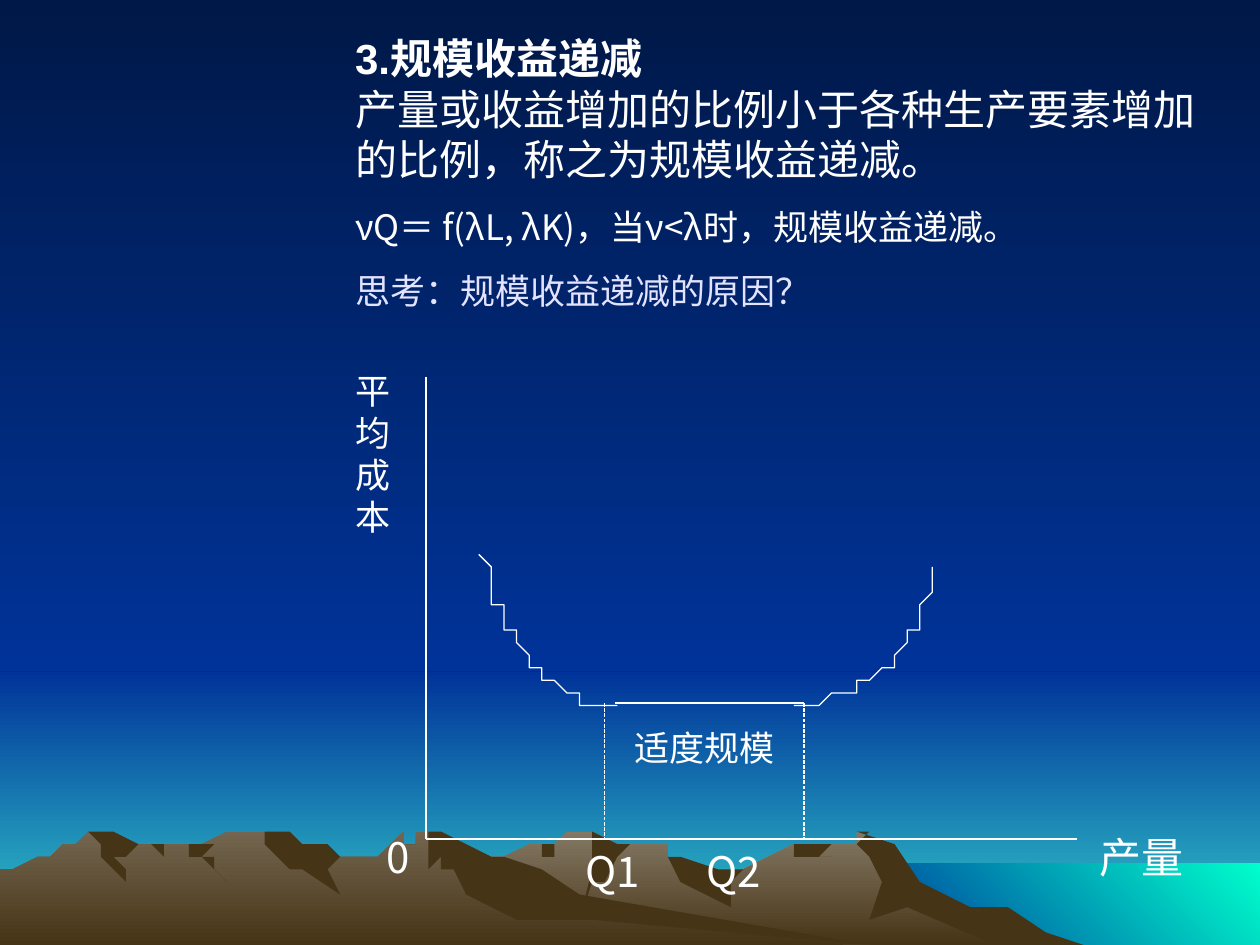
from lxml.etree import SubElement
from pptx import Presentation
from pptx.dml.color import RGBColor
from pptx.enum.dml import MSO_LINE_DASH_STYLE as DASH
from pptx.enum.shapes import MSO_CONNECTOR, MSO_SHAPE
from pptx.enum.text import PP_ALIGN
from pptx.oxml.ns import qn
from pptx.util import Inches, Pt

# The slide is a grid of 100 columns by 75 rows
COLS, ROWS = 100, 75
CELL = Inches(0.1)
CJK, LATIN = "Noto Sans CJK SC", "Arial"
WHITE, LILAC = "FFFFFF", "E3E3FF"
NIGHT, BLUE, TEAL, GREEN = "001847", "003399", "33CCCC", "00FFCC"
SHADE, RIGHT_ROCK, LEFT_ROCK = "463416", "847864", "73654F"

HORIZON, AXIS_X, AXIS_Y, FLOOR = 53.3, 33.8, 66.6, 55.8
Q1, Q2 = 48, 63.8

RIGHT_RIDGE = """80.2,74 77.8,72.7 76.4,72.3 72.3,69.8 70.2,67.1 68.5,66 67.6,66.7
65.6,67.1 62.9,67.1 61.3,68.1 56.6,69.7 53.6,69 52.9,67.6 52.6,67.3 50.9,66.9
48.6,67.3 47.4,66.1 47.1,65.8 46.5,65.8 45,66.4 43.8,67.1 42.4,67.2 40.5,68.1
39.4,68.5 35.5,69.8 32.7,70.9 27.7,73.9 25.8,75 82.1,75"""
LEFT_RIDGE = """69,75 66.7,74.8 43.2,71.2 35.4,66.5 33.1,66.3 32.7,66.8 32.3,66.8 31.8,66.4
29.6,67.6 27.9,68.1 27.1,68.2 26,67.6 23.6,68.1 22.3,66.3 21.9,66 21.2,65.8 19.6,65.8
19.1,66.2 18,66.5 16,67.1 14.8,66.7 14.3,66.7 13.2,67.1 12.3,66.9 11.1,66.9 9.4,67.1
6.8,66.2 5.6,66.9 4.6,67.4 3.5,67.9 2.6,68.5 1.4,68.8 0,69 0,75"""
RIGHT_SHADES = [
    """79.6,72.4 77.1,72.4 73.4,70.3 70.7,67.1 68.5,66 68.9,66.4 68.5,67.1 69.1,68
    69.8,70.2 69.3,73.3 72,71.7 78.8,75 85.8,75 82.9,74.2""",
    """47.1,65.8 47.4,66.2 46.9,66.4 46.8,67.1 47.2,68 47.3,69 46.5,72.7 47.4,70.4
    47.9,70 48.7,68.3 49,68.2 49,67.6 49.7,67.1 49.3,67""",
    "52.9,67.6 52.6,68.3 53.6,69.7 58,72.3 57.6,70 59.2,68.9 57,69.2 54.2,68.5",
    "65,67.1 63,67.1 63.1,67.5 63,67.6 64.3,68.3 64.7,67.9 65.7,68.4 65.2,67.6 65.6,67.1",
    "43.3,67.7 43.2,67.3 43.4,67.1 43.9,67 43.7,67.3 43.9,67.9 43.4,68.4",
]
LEFT_SHADES = [
    """21.2,66.3 20.8,66.9 21.9,67.8 23.2,69 24.1,68.8 26.7,70.9 26.1,68.9 27.1,68.2
    26,67.4 24.5,66.8 23.2,66.3 22,66.1 21.3,65.9""",
    """37,66.8 35.4,66.5 34.4,66.5 33.9,66.9 33.7,68.7 34.8,68.3 35.3,68.8 36.3,69.1
    37.4,71.2 40.7,72.7 47.2,72.7 69,75 45.5,70.7 42.7,69.2 40.1,68.1 38.6,67.5""",
    "31.8,66.7 32,66.6 31.8,66.4 32.3,66.7 32.7,66.7 33,67.4 32.2,66.9 31.9,67.2",
    """15.4,66.7 16.8,66.9 16.5,67.6 16.6,68 16.9,68.4 17.3,68.7 17.6,69.5 16.5,68.5
    15.4,67.6 14.8,66.7""",
    "13.3,67 13,67.4 13.2,68 12.9,67.8 12.3,66.9",
    """10.9,66.8 11.1,66.9 10.5,67.6 9.3,68.5 9.8,68.9 10,69.8 8.2,68.5 7.7,67.6
    8.4,67.3 7.9,66.8 6.9,66.4 6.9,66.2 8.4,66.3 9.4,66.5""",
]


def rgb(value):
    return RGBColor.from_string(value)


def cells(*values):
    return [round(v * CELL) for v in values]


def paint(fill, colors, angle=270):
    """Solid fill for one colour, linear gradient for a pair."""
    if isinstance(colors, str):
        fill.solid()
        fill.fore_color.rgb = rgb(colors)
        return
    fill.gradient()
    fill.gradient_angle = angle
    for stop, color, position in zip(fill.gradient_stops, colors, (0, 1)):
        stop.color.rgb = rgb(color)
        stop.position = position


def band(s, x, y, w, h, colors, angle=270):
    sp = s.shapes.add_shape(MSO_SHAPE.RECTANGLE, *cells(x, y, w, h))
    sp.shadow.inherit = False
    sp.line.fill.background()
    paint(sp.fill, colors, angle)


def outline(s, points, close):
    fb = s.shapes.build_freeform(*points[0], scale=float(CELL))
    fb.add_line_segments(points[1:], close=close)
    sp = fb.convert_to_shape()
    sp.shadow.inherit = False
    return sp


def rock(s, text, colors):
    points = [tuple(map(float, pair.split(","))) for pair in text.split()]
    sp = outline(s, points, True)
    sp.line.fill.background()
    paint(sp.fill, colors)


def white_line(line):
    line.color.rgb = rgb(WHITE)
    line.width = Pt(0.75)


def curve(s, a, b, c, d, steps=40):
    """Cubic Bezier from a to d with handles b and c."""
    points = []
    for i in range(steps + 1):
        t = i / steps
        weights = ((1 - t) ** 3, 3 * t * (1 - t) ** 2, 3 * t * t * (1 - t), t ** 3)
        points.append(tuple(sum(w * p[k] for w, p in zip(weights, (a, b, c, d)))
                            for k in (0, 1)))
    sp = outline(s, points, False)
    sp.fill.background()
    white_line(sp.line)


def segment(s, x1, y1, x2, y2, dash=None):
    cn = s.shapes.add_connector(MSO_CONNECTOR.STRAIGHT, *cells(x1, y1, x2, y2))
    white_line(cn.line)
    if dash:
        cn.line.dash_style = dash
    SubElement(cn._element.spPr, qn("a:effectLst"))


def text_box(s, x, y, w, h):
    tf = s.shapes.add_textbox(*cells(x, y, w, h)).text_frame
    tf.word_wrap = True
    return tf


def write(p, text, size=24, font=CJK, color=WHITE, bold=False, align=PP_ALIGN.LEFT,
          before=0, tab=None):
    p.alignment = align
    p.space_before = Pt(before)
    p.line_spacing = Pt(size * 1.2)
    if tab:
        tabs = SubElement(p._p.get_or_add_pPr(), qn("a:tabLst"))
        SubElement(tabs, qn("a:tab"), pos=str(cells(tab)[0]), algn="l")
    r = p.add_run()
    r.text = text
    r.font.size, r.font.bold, r.font.name = Pt(size), bold, font
    r.font.color.rgb = rgb(color)
    SubElement(r._r.get_or_add_rPr(), qn("a:ea"), typeface=CJK)


def label(s, x, y, w, h, text, **fmt):
    write(text_box(s, x, y, w, h).paragraphs[0], text, **fmt)


def landscape(s):
    paint(s.background.fill, (NIGHT, BLUE))
    band(s, 0, HORIZON, COLS, ROWS - HORIZON, (BLUE, TEAL))
    band(s, 0, 0, COLS, HORIZON, (NIGHT, BLUE))
    band(s, 68.3, 68.5, COLS - 68.3, ROWS - 68.5, (BLUE, GREEN), 45)
    for ridge, top, shades in ((RIGHT_RIDGE, RIGHT_ROCK, RIGHT_SHADES),
                               (LEFT_RIDGE, LEFT_ROCK, LEFT_SHADES)):
        rock(s, ridge, (top, SHADE))
        for shade in shades:
            rock(s, shade, SHADE)


def cost_diagram(s):
    segment(s, AXIS_X, 29.9, AXIS_X, AXIS_Y)
    segment(s, AXIS_X, AXIS_Y, 85.5, AXIS_Y)
    segment(s, 48.8, FLOOR, Q2, FLOOR)
    curve(s, (63, FLOOR), (69, FLOOR), (73.8, 51), (73.8, 45))
    curve(s, (38.3, 43.9), (39.9, 51.4), (44.8, 56.8), (49.3, 55.9))
    for x in (Q1, Q2):
        segment(s, x, FLOOR, x, AXIS_Y, DASH.SQUARE_DOT)
    label(s, 27.2, 28.8, 5.8, 14.4, "平均成本", size=20)
    label(s, 86.3, 65.5, 10.8, 5, "产量")
    label(s, 29.7, 65.5, 4.2, 5, "0")
    label(s, 45.5, 66.6, 21.7, 5, "Q1\tQ2", tab=9.6)
    label(s, 49.2, 57.2, 13.4, 4.4, "适度规模", size=20, font=LATIN, align=PP_ALIGN.CENTER)


def explanation(s):
    tf = text_box(s, 27.2, 2.1, 70.9, 23.2)
    p = tf.paragraphs[0]
    write(p, "3.规模收益递减", font=LATIN, bold=True)
    p.add_line_break()
    write(p, "产量或收益增加的比例小于各种生产要素增加的比例，称之为规模收益递减。")
    write(tf.add_paragraph(), "νQ＝ f(λL, λK)，当ν<λ时，规模收益递减。", size=20, before=12.5)
    write(tf.add_paragraph(), "思考：规模收益递减的原因？", size=20, color=LILAC, before=12.5)


def main():
    prs = Presentation()
    prs.slide_width, prs.slide_height = cells(COLS, ROWS)
    s = prs.slides.add_slide(prs.slide_layouts[6])
    landscape(s)
    cost_diagram(s)
    explanation(s)
    prs.save("out.pptx")


if __name__ == "__main__":
    main()
